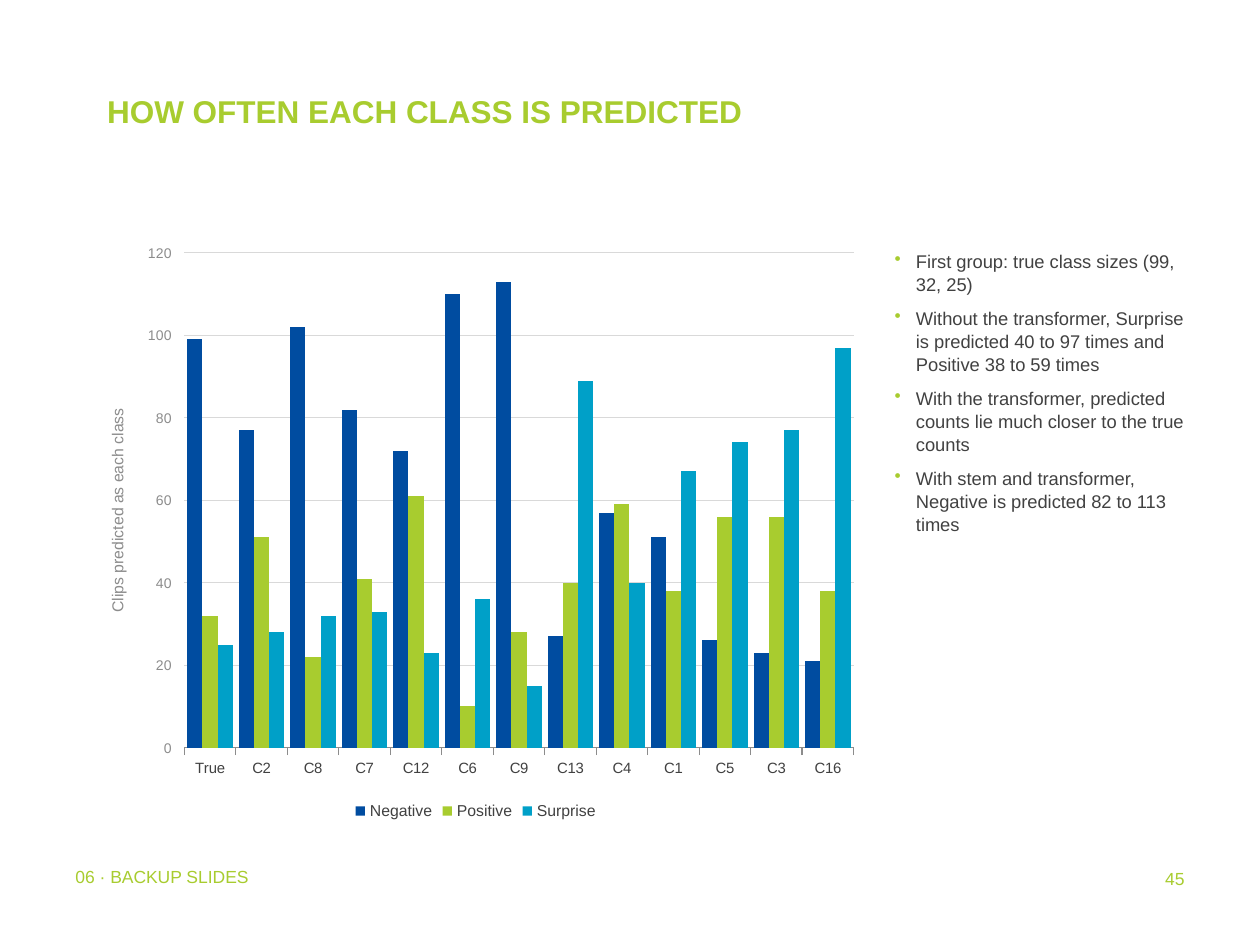
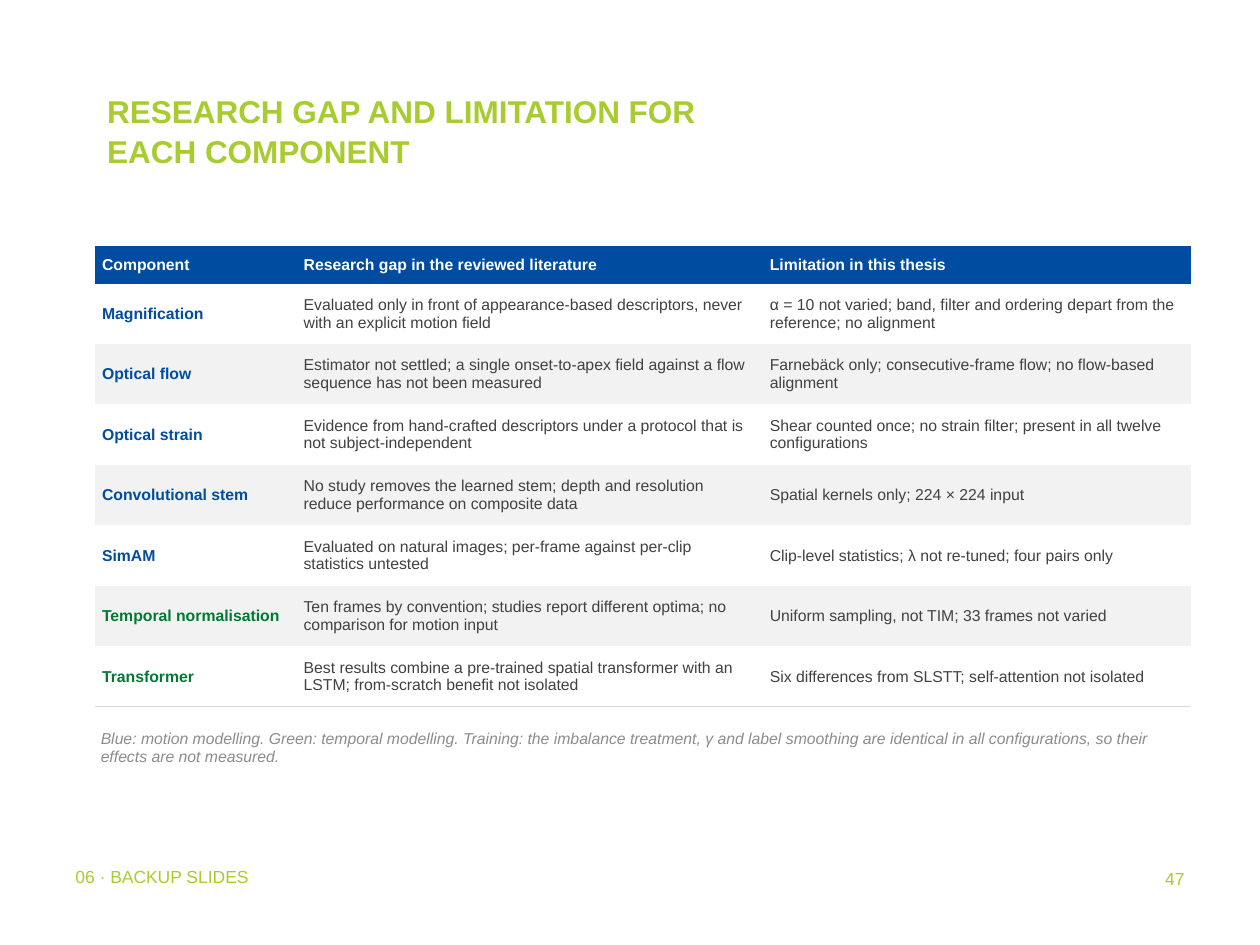
import pptx
import pptx.chart.data
import pptx.dml.color
import pptx.enum.chart
import pptx.enum.text
import pptx.oxml
import pptx.oxml.ns
import pptx.util

# Shared look
FONT = "Arial"
LIME, BLUE, CYAN, GREEN = "A8CC2F", "004CA0", "00A0C8", "007A33"
TEXT, GREY, RULE, BAND, WHITE = "414141", "8C8C8C", "D9D9D9", "F2F2F2", "FFFFFF"
SECTION = "06 · BACKUP SLIDES"
PLAIN_TABLE = "{2D5ABB26-0587-4C30-8999-92F81FD0307C}"
ALIGN = pptx.enum.text.PP_ALIGN
ANCHOR = pptx.enum.text.MSO_ANCHOR

# The slide is a grid of 120 columns and 90 rows; boxes are (left, top, width, height)
COLS, ROWS = 120, 90
TITLE_BOX = (9, 8, 65, 15)
SECTION_BOX = (6, 82, 68, 4.8)
NUMBER_BOX = (89, 82, 25, 6)
CHART_BOX = (7.8, 22.2, 75, 56.4)
POINTS_BOX = (84.6, 23.4, 28.8, 54)
TABLE_BOX = (9, 23.4, 104.4, 43.92)
NOTE_BOX = (9, 69, 104.4, 7.8)

prs = pptx.Presentation()
prs.slide_width = pptx.util.Inches(10)
prs.slide_height = pptx.util.Inches(7.5)
CELL = prs.slide_width // COLS

CLASS_COUNTS = {
    "Negative": (BLUE, [99, 77, 102, 82, 72, 110, 113, 27, 57, 51, 26, 23, 21]),
    "Positive": (LIME, [32, 51, 22, 41, 61, 10, 28, 40, 59, 38, 56, 56, 38]),
    "Surprise": (CYAN, [25, 28, 32, 33, 23, 36, 15, 89, 40, 67, 74, 77, 97]),
}
CONFIGURATIONS = ["True", "C2", "C8", "C7", "C12", "C6", "C9", "C13", "C4", "C1", "C5", "C3", "C16"]
POINTS = [
    "First group: true class sizes (99, 32, 25)",
    "Without the transformer, Surprise is predicted 40 to 97 times and Positive 38 to 59 times",
    "With the transformer, predicted counts lie much closer to the true counts",
    "With stem and transformer, Negative is predicted 82 to 113 times",
]
HEADER = ("Component", "Research gap in the reviewed literature", "Limitation in this thesis")
MOTION = [
    ("Magnification",
     "Evaluated only in front of appearance-based descriptors, never with an explicit motion field",
     "α = 10 not varied; band, filter and ordering depart from the reference; no alignment"),
    ("Optical flow",
     "Estimator not settled; a single onset-to-apex field against a flow sequence has not been measured",
     "Farnebäck only; consecutive-frame flow; no flow-based alignment"),
    ("Optical strain",
     "Evidence from hand-crafted descriptors under a protocol that is not subject-independent",
     "Shear counted once; no strain filter; present in all twelve configurations"),
    ("Convolutional stem",
     "No study removes the learned stem; depth and resolution reduce performance on composite data",
     "Spatial kernels only; 224 × 224 input"),
    ("SimAM",
     "Evaluated on natural images; per-frame against per-clip statistics untested",
     "Clip-level statistics; λ not re-tuned; four pairs only"),
]
TEMPORAL = [
    ("Temporal normalisation",
     "Ten frames by convention; studies report different optima; no comparison for motion input",
     "Uniform sampling, not TIM; 33 frames not varied"),
    ("Transformer",
     "Best results combine a pre-trained spatial transformer with an LSTM; "
     "from-scratch benefit not isolated",
     "Six differences from SLSTT; self-attention not isolated"),
]
NOTE = ("Blue: motion modelling. Green: temporal modelling. Training: the imbalance treatment, γ and "
        "label smoothing are identical in all configurations, so their effects are not measured.")


def grid(*units):
    return [round(u * CELL) for u in units]


def rgb(hex_code):
    return pptx.dml.color.RGBColor.from_string(hex_code)


def style(font, size, color=TEXT, bold=False, italic=False):
    font.name, font.size = FONT, pptx.util.Pt(size)
    font.bold, font.italic = bold, italic
    font.color.rgb = rgb(color)


def set_margins(target, side, end):
    target.margin_left = target.margin_right = pptx.util.Inches(side)
    target.margin_top = target.margin_bottom = pptx.util.Inches(end)


def add_bullet(p):
    pPr = p._p.get_or_add_pPr()
    indent = pptx.util.Inches(0.17)
    pPr.set("marL", str(indent))
    pPr.set("indent", str(-indent))
    ns = pptx.oxml.ns.nsdecls("a")
    for xml in (f'<a:buClr {ns}><a:srgbClr val="{LIME}"/></a:buClr>', f'<a:buChar {ns} char="•"/>'):
        pPr.append(pptx.oxml.parse_xml(xml))


def write(tf, *texts, align=ALIGN.LEFT, spacing=None, after=None, bullets=False, **font):
    """Fill a text frame with one formatted paragraph for each text."""
    for i, text in enumerate(texts):
        p = tf.add_paragraph() if i else tf.paragraphs[0]
        p.alignment = align
        if spacing:
            p.line_spacing = spacing
        if after:
            p.space_after = pptx.util.Pt(after)
        if bullets:
            add_bullet(p)
        r = p.add_run()
        r.text = text
        style(r.font, **font)


def add_text(s, box, *texts, margins=(0.05, 0.03), **fmt):
    tf = s.shapes.add_textbox(*grid(*box)).text_frame
    tf.word_wrap = True
    set_margins(tf, *margins)
    write(tf, *texts, **fmt)


def add_slide(title, number):
    """Slide with the shared title, section footer and number."""
    s = prs.slides.add_slide(prs.slide_layouts.get_by_name("Title Only"))
    sp = s.shapes.title
    sp.left, sp.top, sp.width, sp.height = grid(*TITLE_BOX)
    tf = sp.text_frame
    tf.word_wrap, tf.auto_size = True, pptx.enum.text.MSO_AUTO_SIZE.NONE
    tf.vertical_anchor = ANCHOR.TOP
    set_margins(tf, 0.1, 0.05)
    write(tf, title, size=18, color=LIME, bold=True, spacing=1.05)
    add_text(s, SECTION_BOX, SECTION, margins=(0.1, 0.03), size=10, color=LIME, spacing=1.05)
    add_text(s, NUMBER_BOX, str(number), margins=(0.1, 0.05), size=10, color=LIME,
             align=ALIGN.RIGHT, spacing=1.05)
    return s


def add_count_chart(s, box):
    data = pptx.chart.data.CategoryChartData(number_format="0")
    data.categories = CONFIGURATIONS
    for name, (_, counts) in CLASS_COUNTS.items():
        data.add_series(name, counts)
    kind = pptx.enum.chart.XL_CHART_TYPE.COLUMN_CLUSTERED
    chart = s.shapes.add_chart(kind, *grid(*box), data).chart
    style(chart.font, 8.5)
    chart.has_title = False

    # Columns
    plot = chart.plots[0]
    plot.gap_width, plot.overlap, plot.vary_by_categories = 40, 0, False
    for series, (color, _) in zip(plot.series, CLASS_COUNTS.values()):
        series.format.fill.solid()
        series.format.fill.fore_color.rgb = rgb(color)

    # Legend
    chart.has_legend = True
    chart.legend.position = pptx.enum.chart.XL_LEGEND_POSITION.BOTTOM
    chart.legend.include_in_layout = False
    style(chart.legend.font, 9)

    # Category axis
    axis = chart.category_axis
    axis.tick_label_position = pptx.enum.chart.XL_TICK_LABEL_POSITION.LOW
    style(axis.tick_labels.font, 8.5)
    axis.format.line.color.rgb = rgb(GREY)
    axis.format.line.width = pptx.util.Pt(0.75)

    # Value axis
    axis = chart.value_axis
    axis.minimum_scale, axis.maximum_scale, axis.major_unit = 0, 120, 20
    style(axis.tick_labels.font, 8, GREY)
    axis.tick_labels.number_format = "0"
    axis.tick_labels.number_format_is_linked = False
    axis.format.line.fill.background()
    axis.major_gridlines.format.line.color.rgb = rgb(RULE)
    axis.major_gridlines.format.line.width = pptx.util.Pt(0.5)
    tf = axis.axis_title.text_frame
    write(tf, "Clips predicted as each class", align=None, size=9, color=GREY)
    tf._txBody.bodyPr.set("rot", "-5400000")
    tf._txBody.bodyPr.set("vert", "horz")


def add_bottom_rule(cell):
    ns = pptx.oxml.ns.nsdecls("a")
    cell._tc.get_or_add_tcPr().insert(0, pptx.oxml.parse_xml(
        f'<a:lnB {ns} w="{pptx.util.Pt(0.75)}"><a:solidFill><a:srgbClr val="{RULE}"/>'
        '</a:solidFill></a:lnB>'))


def add_component_table(s, box):
    rows = [(WHITE, HEADER)] + [(BLUE, row) for row in MOTION] + [(GREEN, row) for row in TEMPORAL]
    table = s.shapes.add_table(len(rows), len(HEADER), *grid(*box)).table
    table.first_row = table.horz_banding = False
    table._tbl.tblPr.find(pptx.oxml.ns.qn("a:tableStyleId")).text = PLAIN_TABLE
    for column, width in zip(table.columns, grid(19.2, 44.4, 40.8)):
        column.width = width
    for i, (name_color, texts) in enumerate(rows):
        table.rows[i].height, = grid(5.76 if i else 3.6)
        fill = (BAND if i % 2 == 0 else WHITE) if i else BLUE
        for j, text in enumerate(texts):
            cell = table.cell(i, j)
            cell.fill.solid()
            cell.fill.fore_color.rgb = rgb(fill)
            cell.vertical_anchor = ANCHOR.MIDDLE
            set_margins(cell, 0.06, 0.02)
            strong = i == 0 or j == 0
            write(cell.text_frame, text, size=9, bold=strong, color=name_color if strong else TEXT)
            if i == len(rows) - 1:
                add_bottom_rule(cell)


def build_prediction_slide():
    s = add_slide("HOW OFTEN EACH CLASS IS PREDICTED", 45)
    add_count_chart(s, CHART_BOX)
    add_text(s, POINTS_BOX, *POINTS, size=10.5, spacing=1.05, after=6, bullets=True)


def build_gap_slide():
    s = add_slide("RESEARCH GAP AND LIMITATION FOR EACH COMPONENT", 47)
    add_component_table(s, TABLE_BOX)
    add_text(s, NOTE_BOX, NOTE, size=9, color=GREY, italic=True, after=3)


if __name__ == "__main__":
    build_prediction_slide()
    build_gap_slide()
    prs.save("out.pptx")
